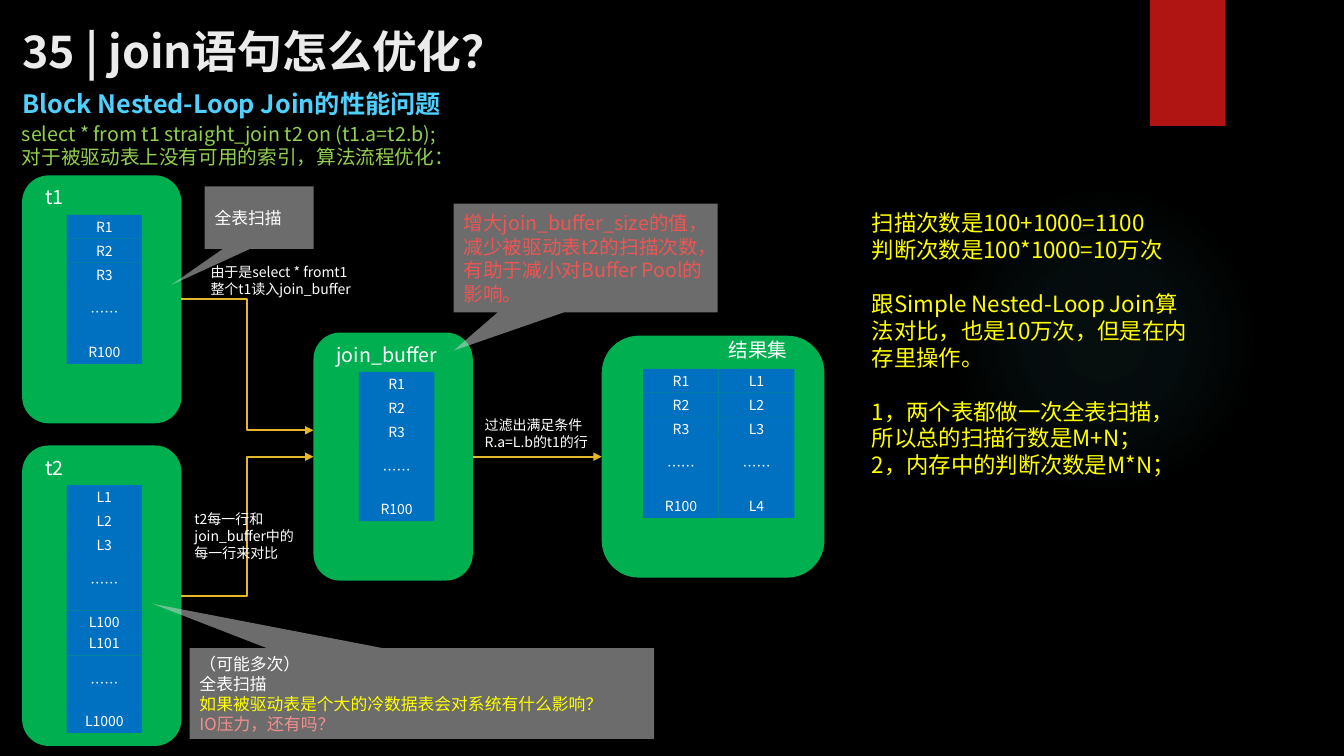
"""Builds the slide on optimising join statements."""
from lxml import etree
from pptx import Presentation
from pptx.dml.color import RGBColor
from pptx.enum.shapes import MSO_CONNECTOR, MSO_SHAPE
from pptx.enum.text import MSO_ANCHOR, MSO_AUTO_SIZE, PP_ALIGN
from pptx.oxml import parse_xml
from pptx.oxml.ns import qn
from pptx.util import Pt

RECT, ROUNDED = MSO_SHAPE.RECTANGLE, MSO_SHAPE.ROUNDED_RECTANGLE
OVAL, CALLOUT = MSO_SHAPE.OVAL, MSO_SHAPE.RECTANGULAR_CALLOUT
ELBOW = MSO_CONNECTOR.ELBOW
TOP, MIDDLE = MSO_ANCHOR.TOP, MSO_ANCHOR.MIDDLE
LEFT, CENTER = PP_ALIGN.LEFT, PP_ALIGN.CENTER
NO_AUTOFIT = MSO_AUTO_SIZE.NONE

BLACK = RGBColor(0x00, 0x00, 0x00)
WHITE = RGBColor(0xFF, 0xFF, 0xFF)
OFF_WHITE = RGBColor(0xEB, 0xEB, 0xEB)
RED = RGBColor(0xB0, 0x15, 0x13)
SKY = RGBColor(0x4F, 0xD1, 0xFF)
LIME = RGBColor(0x92, 0xD0, 0x50)
GREEN = RGBColor(0x00, 0xB0, 0x50)
BLUE = RGBColor(0x00, 0x70, 0xC0)
GOLD = RGBColor(0xE6, 0xB7, 0x29)
GRAY = RGBColor(0xD9, 0xD9, 0xD9)
YELLOW = RGBColor(0xFF, 0xFF, 0x00)
PINK = RGBColor(0xF3, 0x8F, 0x8D)
CORAL = RGBColor(0xED, 0x56, 0x54)
TEAL = RGBColor(0x50, 0xB9, 0xC1)

FONT = "Noto Sans CJK SC"
DOTS = "……"
ROW_OFFSETS = (0, 17.1, 34.1, 49.8, 89.4, 104.4, 121.7, 160)
ROW_HEIGHT, DOTS_HEIGHT, COLUMN_WIDTH = 17.1, 39.6, 54
R_ROWS = ("R1", "R2", "R3", DOTS, "R100")
DRAWING_NS = "http://schemas.openxmlformats.org/drawingml/2006/main"


def write(frame, lines, size, color, anchor=TOP, align=LEFT, bold=False):
    """Fill a text frame with lines, each a text or a (text, color) pair."""
    frame.word_wrap = True
    frame.auto_size = NO_AUTOFIT
    frame.vertical_anchor = anchor
    for index, line in enumerate(lines):
        text, line_color = (line, color) if isinstance(line, str) else line
        paragraph = frame.paragraphs[0] if index == 0 else frame.add_paragraph()
        paragraph.text = text
        paragraph.alignment = align
        font = paragraph.font
        font.size, font.bold, font.name = Pt(size), bold, FONT
        font.color.rgb = line_color
        defaults = paragraph._p.pPr.find(qn("a:defRPr"))
        etree.SubElement(defaults, qn("a:ea"), typeface=FONT)


def add_text(slide, box, lines, size, color=WHITE, bold=False):
    """Add a text box and return its text frame."""
    frame = slide.shapes.add_textbox(*map(Pt, box)).text_frame
    write(frame, lines, size, color, bold=bold)
    return frame


def add_block(slide, kind, box, color):
    """Add a filled shape without line or shadow."""
    block = slide.shapes.add_shape(kind, *map(Pt, box))
    block.shadow.inherit = False
    block.fill.solid()
    block.fill.fore_color.rgb = color
    block.line.fill.background()
    return block


def add_glow(slide, box):
    """Add a faint circle that fades out towards its edge."""
    glow = add_block(slide, OVAL, box, TEAL)
    stops = "".join(
        f'<a:gs pos="{position}000"><a:srgbClr val="{TEAL}">'
        f'<a:alpha val="{alpha}000"/></a:srgbClr></a:gs>'
        for position, alpha in ((0, 7), (36, 6), (69, 0), (100, 0)))
    gradient = parse_xml(
        f'<a:gradFill xmlns:a="{DRAWING_NS}"><a:gsLst>{stops}</a:gsLst>'
        '<a:path path="circle"><a:fillToRect l="50000" t="50000" '
        'r="50000" b="50000"/></a:path></a:gradFill>')
    properties = glow._element.spPr
    properties.replace(properties.find(qn("a:solidFill")), gradient)


def add_panel(slide, box, label, label_box):
    """Add a rounded panel with its label."""
    add_block(slide, ROUNDED, box, GREEN)
    add_text(slide, label_box, [label], 14)


def add_column(slide, left, top, rows):
    """Add a column of row cells."""
    for row, offset in zip(rows, ROW_OFFSETS):
        height = DOTS_HEIGHT if row == DOTS else ROW_HEIGHT
        cell = add_block(slide, RECT, (left, top + offset, COLUMN_WIDTH, height), BLUE)
        write(cell.text_frame, [row], 10, WHITE, MIDDLE, CENTER)


def add_flow(slide, *ends):
    """Add an elbow arrow from the first point to the second."""
    flow = slide.shapes.add_connector(ELBOW, *map(Pt, ends))
    flow.line.color.rgb = GOLD
    flow.line.width = Pt(1.5)
    etree.SubElement(flow.line._get_or_add_ln(), qn("a:tailEnd"), type="triangle")
    etree.SubElement(flow._element.spPr, qn("a:effectLst"))


def add_callout(slide, box, tip, lines, size, color=WHITE):
    """Add a half-transparent callout whose tip is given in shares of its size."""
    callout = add_block(slide, CALLOUT, box, GRAY)
    callout.adjustments[0], callout.adjustments[1] = tip
    fill_color = callout._element.spPr.find(f"{qn('a:solidFill')}/{qn('a:srgbClr')}")
    etree.SubElement(fill_color, qn("a:alpha"), val="50000")
    write(callout.text_frame, lines, size, color, MIDDLE)


def add_headings(slide):
    """Add the title, the subtitle and the query."""
    title = slide.shapes.title
    title.left, title.top, title.width, title.height = map(Pt, (8.6, 12.2, 877.7, 47.5))
    write(title.text_frame, ["35 | join语句怎么优化？"], 32, OFF_WHITE, MIDDLE, bold=True)
    add_text(slide, (9, 59.8, 330, 28.8), ["Block Nested-Loop Join的性能问题"], 18, SKY, True)
    add_text(slide, (8.6, 83.5, 933.8, 41),
             ["select * from t1 straight_join t2 on (t1.a=t2.b);",
              "对于被驱动表上没有可用的索引，算法流程优化："], 14, LIME)


def add_tables(slide):
    """Add the four panels with their rows."""
    add_panel(slide, (15.8, 125.3, 113.8, 177.1), "t1", (25.2, 128.9, 40.3, 24.5))
    add_column(slide, 47.5, 153.4, R_ROWS)
    add_panel(slide, (15.8, 318.2, 113.8, 214.6), "t2", (25.2, 321.8, 40.3, 24.5))
    add_column(slide, 47.5, 346.5,
               ("L1", "L2", "L3", DOTS, "L100", "L101", DOTS, "L1000"))
    add_panel(slide, (223.9, 237.6, 113.8, 177.1), "join_buffer",
              (233.3, 241.2, 114.5, 24.5))
    add_column(slide, 256.3, 265.7, R_ROWS)
    add_panel(slide, (429.8, 239.8, 159.1, 172.8), "结果集", (513.4, 237.6, 133.2, 24.5))
    add_column(slide, 459.4, 263.4, R_ROWS)
    add_column(slide, 459.4 + COLUMN_WIDTH, 263.4, ("L1", "L2", "L3", DOTS, "L4"))


def add_flows(slide):
    """Add the arrows between the panels and their notes."""
    add_flow(slide, 129.6, 213.8, 223.9, 307.4)
    add_flow(slide, 129.6, 425.5, 223.9, 326.2)
    add_flow(slide, 337.7, 326.2, 429.8, 326.2)
    add_text(slide, (131.8, 361.4, 92.2, 43.9),
             ["t2每一行和join_buffer中的每一行来对比"], 10)
    add_text(slide, (143.3, 185, 145.4, 31.7),
             ["由于是select * fromt1", "整个t1读入join_buffer"], 10)
    add_text(slide, (339.1, 293.8, 94.3, 31.7),
             ["过滤出满足条件", "R.a=L.b的t1的行"], 10)


def add_remarks(slide):
    """Add the callouts and the cost summary."""
    add_callout(slide, (146.2, 133.2, 77.8, 44.6), (-0.81, 1.08), ["全表扫描"], 12)
    add_callout(slide, (135.4, 463, 331.9, 64.8), (-0.58, -0.99),
                ["（可能多次）", "全表扫描",
                 ("如果被驱动表是个大的冷数据表会对系统有什么影响？", YELLOW),
                 ("IO压力，还有吗？", PINK)], 12)
    summary = add_text(slide, (615.6, 146.2, 245.5, 203.8),
                       ["扫描次数是100+1000=1100",
                        "判断次数是100*1000=10万次",
                        "跟Simple Nested-Loop Join算法对比，也是10万次，但是在内存里操作。",
                        "1，两个表都做一次全表扫描，所以总的扫描行数是M+N；",
                        "2，内存中的判断次数是M*N；"], 16, YELLOW)
    for group_start in (2, 3):
        summary.paragraphs[group_start].space_before = Pt(19.2)
    add_callout(slide, (324, 145.4, 188.6, 77.8), (-0.5, 0.85),
                ["增大join_buffer_size的值，减少被驱动表t2的扫描次数，"
                 "有助于减小对Buffer Pool的影响。"], 14, CORAL)


def main():
    """Build and save the slide."""
    deck = Presentation()
    deck.slide_width, deck.slide_height = Pt(960), Pt(540)
    slide = deck.slides.add_slide(deck.slide_layouts[5])
    slide.background.fill.solid()
    slide.background.fill.fore_color.rgb = BLACK
    add_glow(slide, (677.5, 131.8, 221.8, 221.8))
    add_block(slide, RECT, (821.5, 0, 54, 90), RED)
    add_headings(slide)
    add_tables(slide)
    add_flows(slide)
    add_remarks(slide)
    deck.save("out.pptx")


if __name__ == "__main__":
    main()
